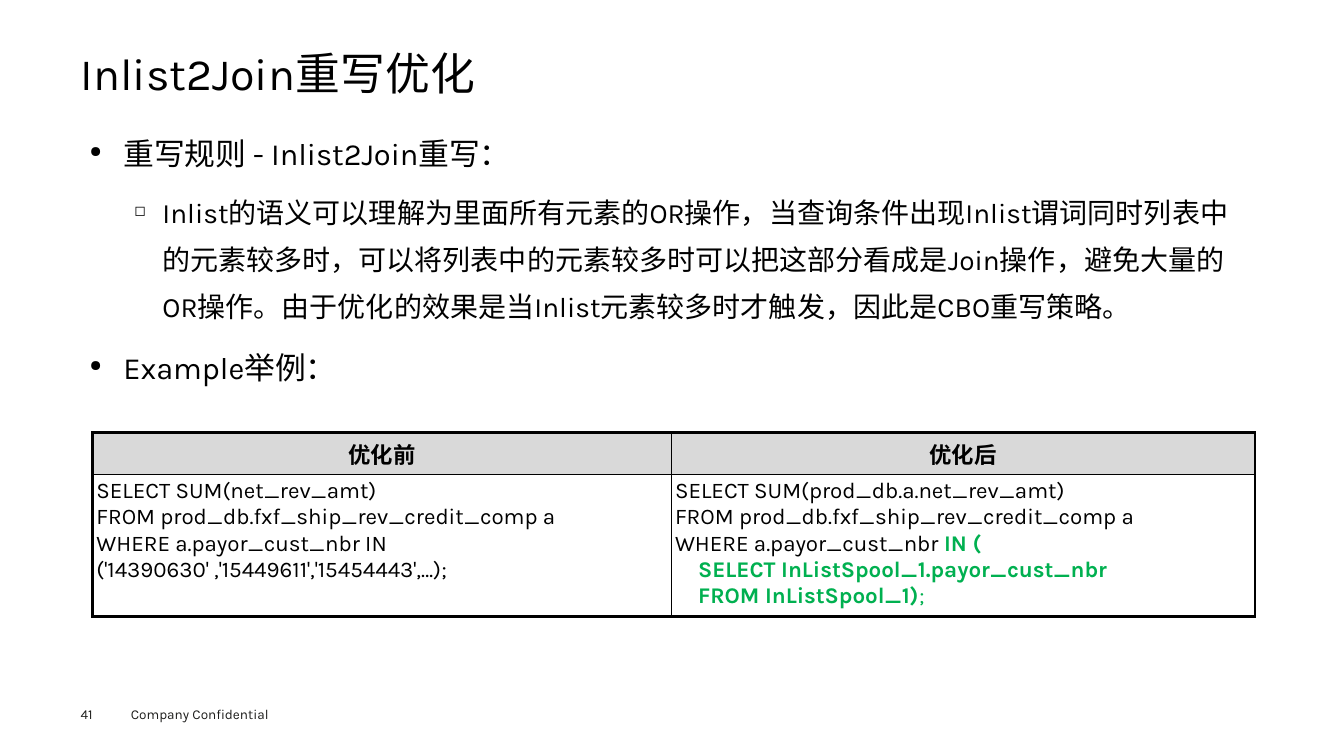
from lxml import etree
from pptx import Presentation
from pptx.dml.color import RGBColor
from pptx.enum import text as t
from pptx.oxml.ns import qn
from pptx.util import Pt

FONT = "Karla"
BLACK, GREEN, GREY, WHITE, INK = "000000", "00B050", "D9D9D9", "FFFFFF", "1D1D1B"
THICK, THIN = 2.25, 1


def paint(item, color):
    if hasattr(item, "solid"):
        item.solid()
        item = item.fore_color
    item.rgb = RGBColor.from_string(color)


def write(frame, runs, size, color=BLACK, bold=False, align=None, space=None,
          before=0, left=0, hang=0, bullet=None, level=0, first=False):
    para = frame.paragraphs[0] if first else frame.add_paragraph()
    para.level = level
    para.space_before = Pt(before)
    if align is not None:
        para.alignment = align
    if space:
        para.line_spacing = space
    props = para._p.get_or_add_pPr()
    props.set("marL", str(Pt(left)))
    props.set("indent", str(Pt(-hang)))
    if bullet:
        etree.SubElement(props, qn("a:buSzPct")).set("val", "50000")
        etree.SubElement(props, qn("a:buChar")).set("char", bullet)
    for words, *style in [(runs,)] if isinstance(runs, str) else runs:
        hue, heavy = style or (color, bold)
        run = para.add_run()
        run.text = words
        font = run.font
        font.name, font.size, font.bold = FONT, Pt(size), heavy
        paint(font.color, hue)


def pad(item, x, y):
    item.margin_left = item.margin_right = Pt(x)
    item.margin_top = item.margin_bottom = Pt(y)


def frame_in(slide, box, x=0, y=0, anchor=t.MSO_ANCHOR.TOP):
    frame = slide.shapes.add_textbox(*map(Pt, box)).text_frame
    frame.word_wrap = True
    frame.vertical_anchor = anchor
    pad(frame, x, y)
    return frame


def title(slide, box):
    frame = frame_in(slide, box, anchor=t.MSO_ANCHOR.MIDDLE)
    write(frame, "Inlist2Join重写优化", 32, space=0.9, first=True)


def body(slide, box):
    frame = frame_in(slide, box, 6.5, 3)
    top = dict(size=22, align=t.PP_ALIGN.JUSTIFY, space=1.4, before=7.9,
               left=24, hang=24, bullet="●")
    write(frame, "重写规则 - Inlist2Join重写：", first=True, **top)
    write(frame, "Inlist的语义可以理解为里面所有元素的OR操作，当查询条件出现Inlist谓词"
          "同时列表中的元素较多时，可以将列表中的元素较多时可以把这部分看成是Join操作，"
          "避免大量的OR操作。由于优化的效果是当Inlist元素较多时才触发，因此是CBO重写策略。",
          20, space=1.4, before=7.2, left=52, hang=20, bullet="◻", level=1)
    write(frame, "Example举例：", **top)


def edges(cell, widths):
    props = cell._tc.get_or_add_tcPr()
    for spot, (side, width) in enumerate(zip("LRTB", widths)):
        line = etree.Element(qn("a:ln" + side), w=str(Pt(width)))
        fill = etree.SubElement(line, qn("a:solidFill"))
        etree.SubElement(fill, qn("a:srgbClr")).set("val", BLACK)
        props.insert(spot, line)


def compare(slide, box):
    heads = ["优化前", "优化后"]
    source = "FROM prod_db.fxf_ship_rev_credit_comp a"
    before = [
        ("SELECT SUM(net_rev_amt)", 0),
        (source, 0),
        ("WHERE a.payor_cust_nbr IN ('14390630' ,'15449611','15454443',…);", 0),
    ]
    after = [
        ("SELECT SUM(prod_db.a.net_rev_amt)", 0),
        (source, 0),
        ([("WHERE a.payor_cust_nbr ",), ("IN (", GREEN, True)], 0),
        ([("SELECT InListSpool_1.payor_cust_nbr", GREEN, True)], 16.5),
        ([("FROM InListSpool_1)", GREEN, True), (";", GREEN, False)], 16.5),
    ]
    grid = slide.shapes.add_table(2, 2, *map(Pt, box)).table
    for col, width in zip(grid.columns, (413.3, 416.9)):
        col.width = Pt(width)
    for row, height in zip(grid.rows, (30, 98)):
        row.height = Pt(height)
    for c, (head, code) in enumerate(zip(heads, (before, after))):
        for r, fill in enumerate((GREY, WHITE)):
            cell = grid.cell(r, c)
            paint(cell.fill, fill)
            edges(cell, (THIN if c else THICK, THICK if c else THIN,
                         THIN if r else THICK, THICK if r else THIN))
        top, low = grid.cell(0, c), grid.cell(1, c)
        pad(top, 7.2, 3.6)
        top.vertical_anchor = t.MSO_ANCHOR.MIDDLE
        write(top.text_frame, head, 16, bold=True,
              align=t.PP_ALIGN.CENTER, first=True)
        pad(low, 2.7, 2.7)
        for n, (runs, left) in enumerate(code):
            write(low.text_frame, runs, 16, left=left, first=n == 0)


def footer(slide, box):
    x, y, w, h = box
    number = frame_in(slide, (x, y + 3.6, 40, h - 7.2))
    write(number, "41", 9.7, INK, first=True)
    note = frame_in(slide, (x + 28.8, y, w - 28.8, h), 7.2, 3.6)
    write(note, "Company Confidential", 9.7, INK, first=True)


def main():
    deck = Presentation()
    deck.slide_width, deck.slide_height = Pt(960), Pt(540)
    slide = deck.slides.add_slide(deck.slide_layouts[6])
    paint(slide.background.fill, WHITE)
    footer(slide, (57.6, 500.4, 158.4, 19.4))
    title(slide, (57.6, 35.3, 844.6, 38.2))
    body(slide, (57.6, 82.8, 844.6, 384.5))
    compare(slide, (66.2, 308.9, 830.2, 128))
    deck.save("out.pptx")


if __name__ == "__main__":
    main()
